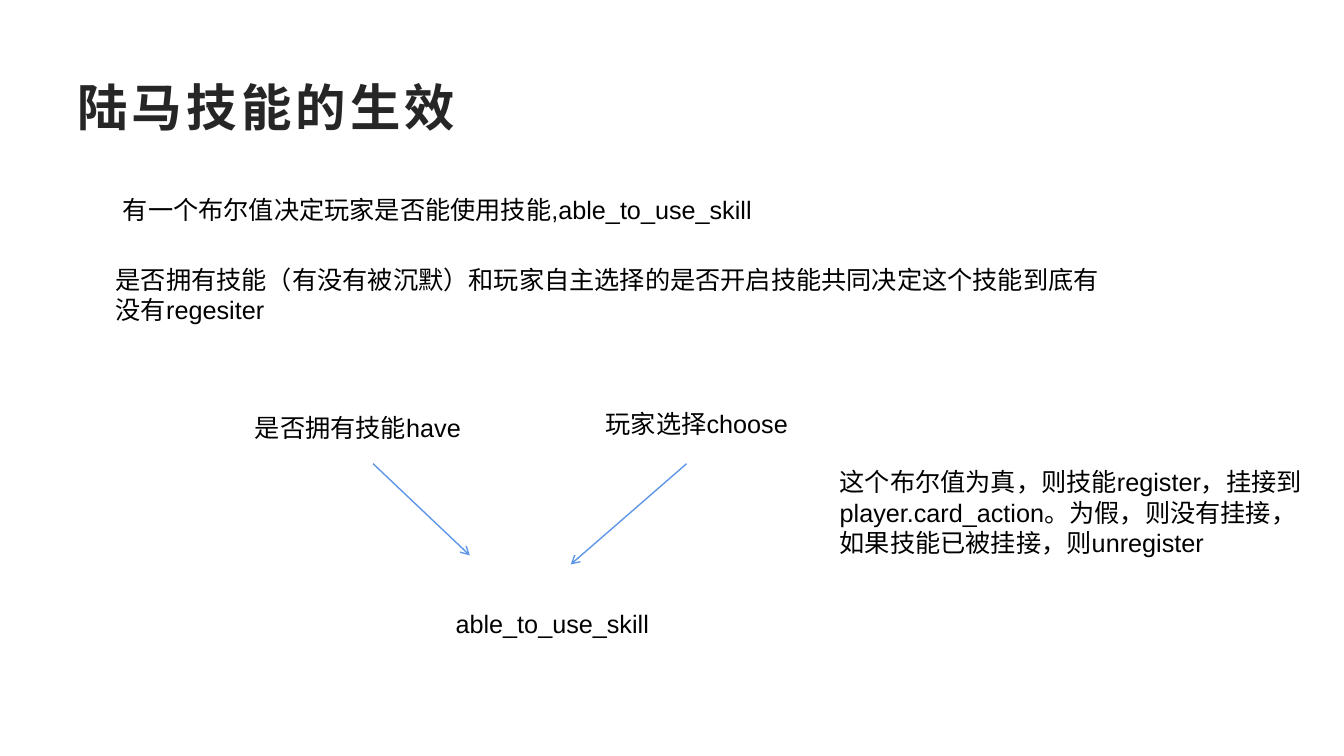
from lxml.etree import SubElement
from pptx import Presentation
from pptx.dml.color import RGBColor
from pptx.enum.shapes import MSO_CONNECTOR
from pptx.enum.text import MSO_ANCHOR
from pptx.oxml.ns import qn
from pptx.util import Inches, Pt

COLORS = {"title": "262626", "body": "000000", "arrow": "6096E6"}
FONT = "Arial"

TITLE = ("陆马技能的生效", (0.67, 0.67, 12, 0.77))
TEXTS = [
    ("有一个布尔值决定玩家是否能使用技能,able_to_use_skill", (1.12, 1.88, 7.72, 0.53)),
    ("是否拥有技能have", (2.43, 4.04, 2.58, 0.4)),
    ("是否拥有技能（有没有被沉默）和玩家自主选择的是否开启技能共同决定这个技能到底有没有regesiter",
     (1.05, 2.57, 10, 0.71)),
    ("玩家选择choose", (5.91, 4, 3.52, 0.4)),
    ("able_to_use_skill", (4.42, 5.99, 2.25, 0.4)),
    ("这个布尔值为真，则技能register，挂接到player.card_action。为假，则没有挂接，如果技能已被挂接，则unregister",
     (8.23, 4.58, 4.84, 1.41)),
]
ARROWS = [(3.7, 4.6, 4.66, 5.51), (6.81, 4.6, 5.66, 5.6)]


def add_text(slide, text, box, size, color):
    """Add a wrapped text box and return it."""
    shape = slide.shapes.add_textbox(*map(Inches, box))
    frame = shape.text_frame
    frame.word_wrap = True
    frame.text = text
    font = frame.paragraphs[0].runs[0].font
    font.name = FONT
    font.size = Pt(size)
    font.color.rgb = RGBColor.from_string(COLORS[color])
    return shape


def add_title(slide, text, box):
    """Add the bold, letter-spaced slide title."""
    frame = add_text(slide, text, box, 36, "title").text_frame
    frame.vertical_anchor = MSO_ANCHOR.MIDDLE
    run = frame.paragraphs[0].runs[0]
    run.font.bold = True
    run.font._element.set("spc", "300")


def add_arrow(slide, ends):
    """Add a thin line with an open arrowhead at its end."""
    arrow = slide.shapes.add_connector(MSO_CONNECTOR.STRAIGHT, *map(Inches, ends))
    arrow.line.color.rgb = RGBColor.from_string(COLORS["arrow"])
    arrow.line.width = Pt(1)
    SubElement(arrow.line._get_or_add_ln(), qn("a:tailEnd"), type="arrow")
    SubElement(arrow._element.spPr, qn("a:effectLst"))


def main():
    """Build and save the skill slide."""
    presentation = Presentation()
    presentation.slide_width = Inches(13.33)
    presentation.slide_height = Inches(7.5)
    slide = presentation.slides.add_slide(presentation.slide_layouts[6])
    add_title(slide, *TITLE)
    for text, box in TEXTS:
        add_text(slide, text, box, 18, "body")
    for ends in ARROWS:
        add_arrow(slide, ends)
    presentation.save("out.pptx")


if __name__ == "__main__":
    main()
